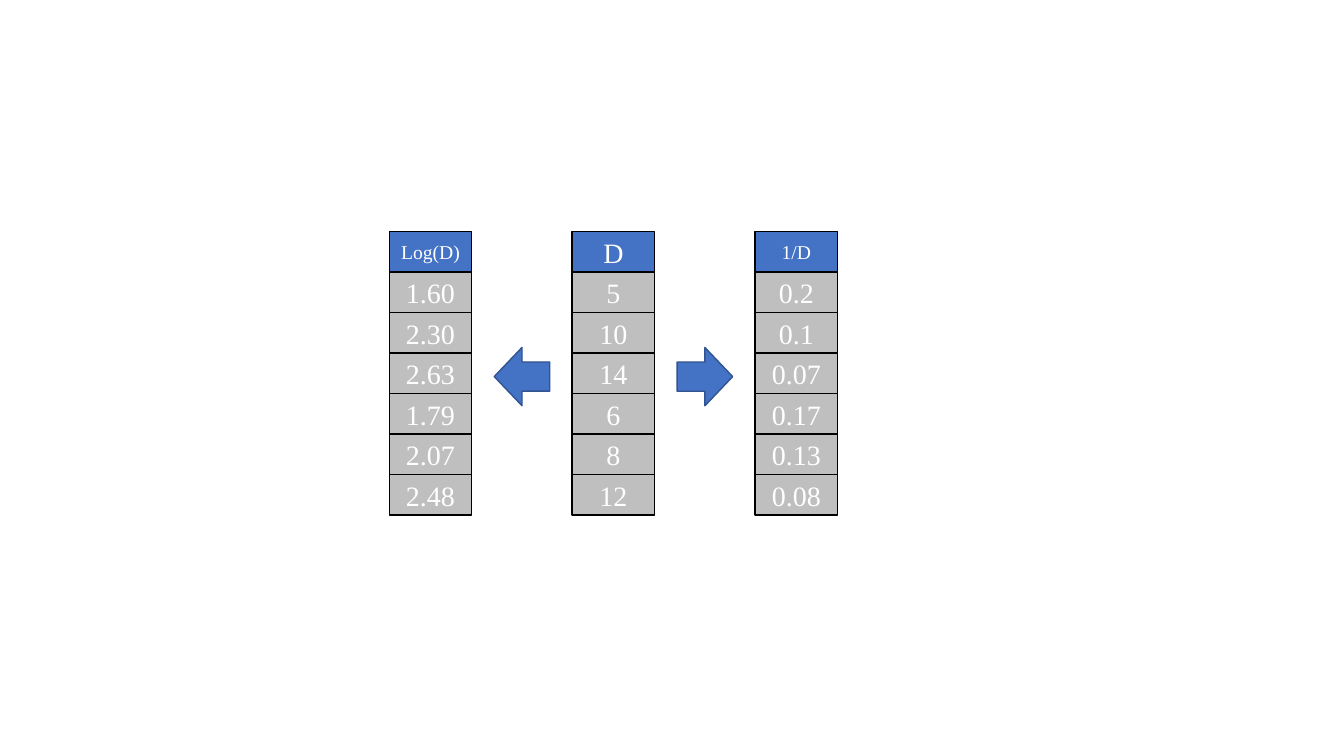
"""Build a slide showing a data column D with its log and reciprocal transforms."""
from dataclasses import dataclass

import pptx
import pptx.dml.color
import pptx.enum.shapes
import pptx.enum.text
import pptx.shapes.autoshape
import pptx.shapes.shapetree
import pptx.util
from pptx.util import Cm

FONT = "Times New Roman"
BLUE, DARK_BLUE, GREY, BLACK, WHITE = "4472C4", "325491", "BFBFBF", "000000", "FFFFFF"

COLUMN_LEFT, COLUMN_TOP, COLUMN_STEP = 9.81, 5.84, 4.61
CELL_WIDTH, CELL_HEIGHT = 2.08, 1.02
ARROW_WIDTH, ARROW_HEIGHT, ARROW_TOP = 1.47, 1.4, 8.79


@dataclass(frozen=True)
class DataColumn:
    """A header with the values stacked below it."""
    slot: int
    header: str
    header_size: int
    values: tuple[str, ...]


@dataclass(frozen=True)
class TransformArrow:
    """A down arrow turned to point from D to a transformed column."""
    gap: int
    rotation: int


COLUMNS = (
    DataColumn(1, "D", 20, ("5", "10", "14", "6", "8", "12")),
    DataColumn(2, "1/D", 14, ("0.2", "0.1", "0.07", "0.17", "0.13", "0.08")),
    DataColumn(0, "Log(D)", 14, ("1.60", "2.30", "2.63", "1.79", "2.07", "2.48")),
)
ARROWS = (TransformArrow(0, 90), TransformArrow(1, 270))


def color(value: str) -> pptx.dml.color.RGBColor:
    """Turn a hex string into a colour."""
    return pptx.dml.color.RGBColor.from_string(value)


def style(shape: pptx.shapes.autoshape.Shape, fill: str, line: str) -> None:
    """Give a shape a flat fill and a one-point outline."""
    shape.shadow.inherit = False
    shape.fill.solid()
    shape.fill.fore_color.rgb = color(fill)
    shape.line.color.rgb = color(line)
    shape.line.width = pptx.util.Pt(1)


def draw_cell(shapes: pptx.shapes.shapetree.GroupShapes, left: float, top: float,
              text: str, size: int, fill: str) -> None:
    """Draw one bordered cell with centred text."""
    cell = shapes.add_shape(pptx.enum.shapes.MSO_SHAPE.RECTANGLE,
                            Cm(left), Cm(top), Cm(CELL_WIDTH), Cm(CELL_HEIGHT))
    style(cell, fill, BLACK)
    cell.text_frame.vertical_anchor = pptx.enum.text.MSO_ANCHOR.MIDDLE
    paragraph = cell.text_frame.paragraphs[0]
    paragraph.text = text
    paragraph.alignment = pptx.enum.text.PP_ALIGN.CENTER
    paragraph.font.name = FONT
    paragraph.font.size = pptx.util.Pt(size)
    paragraph.font.color.rgb = color(WHITE)


def draw_column(shapes: pptx.shapes.shapetree.GroupShapes, column: DataColumn) -> None:
    """Draw a header cell and its value cells."""
    left = COLUMN_LEFT + column.slot * COLUMN_STEP
    draw_cell(shapes, left, COLUMN_TOP, column.header, column.header_size, BLUE)
    for row, value in enumerate(column.values, start=1):
        draw_cell(shapes, left, COLUMN_TOP + row * CELL_HEIGHT, value, 20, GREY)


def draw_arrow(shapes: pptx.shapes.shapetree.GroupShapes, arrow: TransformArrow) -> None:
    """Draw an arrow centred in the gap between two columns."""
    center = COLUMN_LEFT + arrow.gap * COLUMN_STEP + (CELL_WIDTH + COLUMN_STEP) / 2
    shape = shapes.add_shape(pptx.enum.shapes.MSO_SHAPE.DOWN_ARROW,
                             Cm(center - ARROW_WIDTH / 2), Cm(ARROW_TOP),
                             Cm(ARROW_WIDTH), Cm(ARROW_HEIGHT))
    shape.rotation = arrow.rotation
    style(shape, BLUE, DARK_BLUE)


def main() -> None:
    """Build and save the presentation."""
    presentation = pptx.Presentation()
    presentation.slide_width, presentation.slide_height = Cm(33.87), Cm(19.05)
    slide = presentation.slides.add_slide(presentation.slide_layouts[6])
    diagram = slide.shapes.add_group_shape()
    for column in COLUMNS:
        draw_column(diagram.shapes, column)
    for arrow in ARROWS:
        draw_arrow(diagram.shapes, arrow)
    presentation.save("out.pptx")


main()
